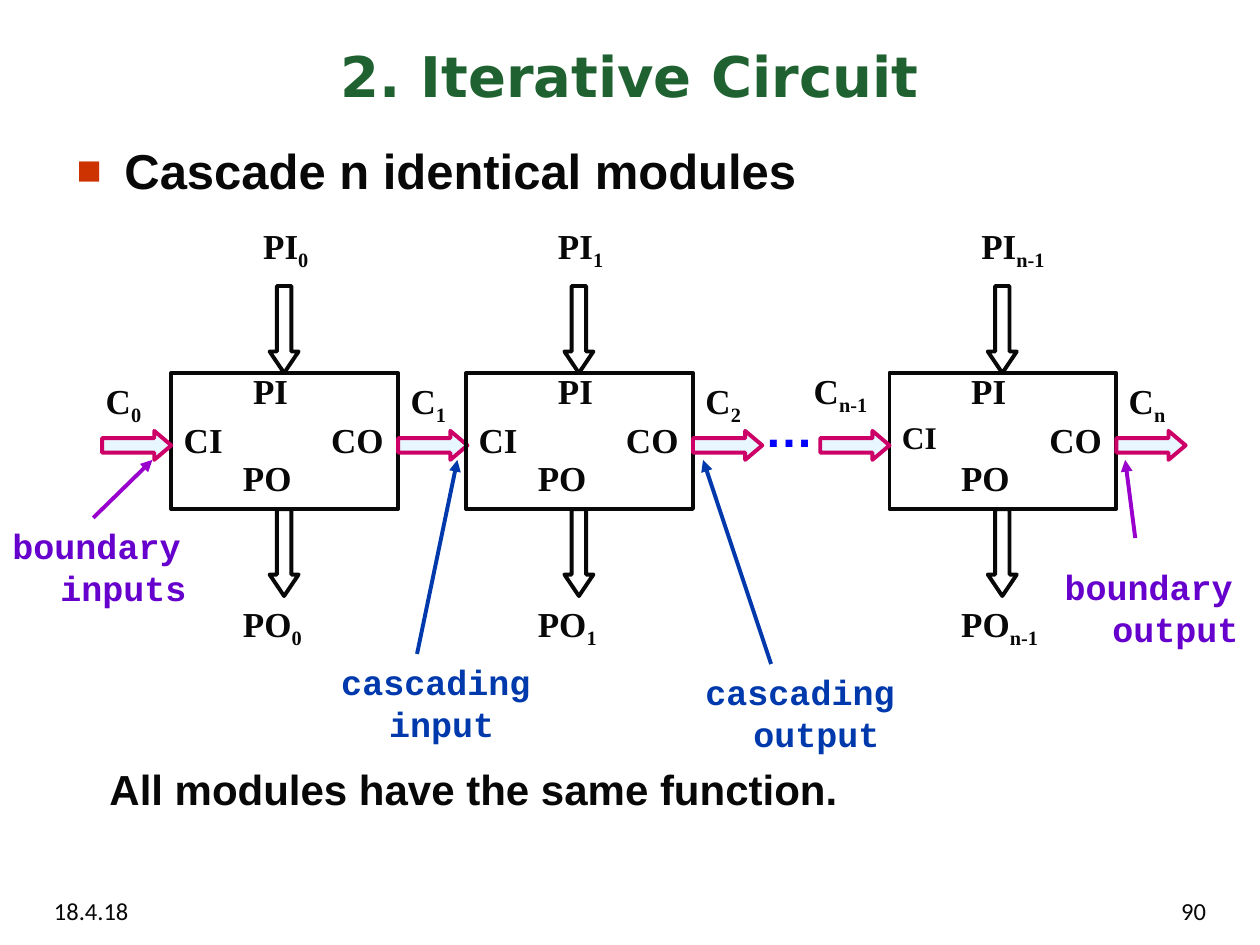
from dataclasses import dataclass

from lxml.etree import SubElement
from pptx import Presentation
from pptx.dml.color import RGBColor
from pptx.enum.shapes import MSO_CONNECTOR as Link, MSO_SHAPE as Kind
from pptx.enum.text import MSO_ANCHOR as Anchor, PP_ALIGN as Align
from pptx.oxml.ns import qn
from pptx.util import Inches, Pt

INK = RGBColor(0x08, 0x08, 0x08)
GREEN = RGBColor(0x1F, 0x61, 0x30)
PINK = RGBColor(0xCC, 0x00, 0x66)
ICE = RGBColor(0xCC, 0xEC, 0xFF)
BLUE = RGBColor(0x00, 0x39, 0xAC)
BRIGHT = RGBColor(0x00, 0x00, 0xFF)
GRAPE = RGBColor(0x66, 0x00, 0xCC)
VIOLET = RGBColor(0x99, 0x00, 0xCC)
SERIF = "Times New Roman"
HANG = 0.38
STROKE = Pt(2.25)
BOX_TOP, BOX_W, BOX_H = 2.96, 1.8, 1.08
FLOW_W, FLOW_H = 0.55, 0.23


@dataclass
class Style:
    font: str
    size: float
    color: RGBColor = INK
    bold: bool = True
    hang: float = HANG
    align: Align = Align.LEFT


@dataclass
class Module:
    left: float
    index: str
    out: str
    pi_gap: float = 0.55
    ci_size: float = 20


@dataclass
class Note:
    text: str
    left: float
    top: float
    width: float
    start: tuple[float, float]
    end: tuple[float, float]
    color: RGBColor
    line: RGBColor


LABEL = Style(SERIF, 20)
FOOT = Style("Calibri", 14, bold=False, hang=0)

MODULES = [
    Module(1.36, "0", "1"),
    Module(3.7, "1", "2", pi_gap=0.63),
    Module(7.06, "n-1", "n", ci_size=18),
]
NOTES = [
    Note("boundary inputs", 0, 4.11, 1.72, (0.74, 4.11), (1.21, 3.65), GRAPE, VIOLET),
    Note("boundary output", 8.35, 4.44, 1.65, (9.01, 4.27), (8.93, 3.65), GRAPE, VIOLET),
    Note("cascading input", 2.61, 5.19, 1.72, (3.31, 5.19), (3.63, 3.65), BLUE, BLUE),
    Note("cascading output", 5.5, 5.27, 1.72, (6.12, 5.27), (5.58, 3.65), BLUE, BLUE),
]


def add_text(slide, text: str, left: float, top: float, width: float,
             height: float, style: Style, sub: str = "", bullet: bool = False):
    """Add a one-paragraph text box, with an optional subscript."""
    box = slide.shapes.add_textbox(Inches(left), Inches(top), Inches(width), Inches(height))
    frame = box.text_frame
    frame.word_wrap = True
    para = frame.paragraphs[0]
    para.alignment = style.align
    props = para._p.get_or_add_pPr()
    if style.hang:
        props.set("marL", str(Inches(style.hang)))
        props.set("indent", str(-Inches(style.hang)))
    if bullet:
        SubElement(SubElement(props, qn("a:buClr")), qn("a:srgbClr"), val="CC3300")
        SubElement(props, qn("a:buSzPct"), val="85000")
        SubElement(props, qn("a:buFont"), typeface="Arial")
        SubElement(props, qn("a:buChar"), char="■")
    para.font.name = style.font
    para.font.size = Pt(style.size)
    para.font.bold = style.bold
    para.font.color.rgb = style.color
    para.add_run().text = text
    if sub:
        run = para.add_run()
        run.text = sub
        run._r.get_or_add_rPr().set("baseline", "-25000")
    return frame


def add_block(slide, kind: Kind, left: float, top: float, width: float,
              height: float, color: RGBColor = INK):
    """Add an outlined shape without fill."""
    block = slide.shapes.add_shape(
        kind, Inches(left), Inches(top), Inches(width), Inches(height))
    block.shadow.inherit = False
    block.fill.background()
    block.line.color.rgb = color
    block.line.width = STROKE
    return block


def add_drop(slide, left: float, top: float) -> None:
    """Add a black arrow that points down."""
    drop = add_block(slide, Kind.DOWN_ARROW, left, top, 0.23, 0.69)
    drop.adjustments[1] = 0.74


def add_flow(slide, left: float) -> None:
    """Add a pink carry arrow that points right."""
    flow = add_block(slide, Kind.RIGHT_ARROW, left, 3.42, FLOW_W, FLOW_H, PINK)
    flow.adjustments[1] = 0.59
    flow.fill.solid()
    flow.fill.fore_color.rgb = ICE
    tint = flow._element.spPr.find(qn("a:solidFill")).find(qn("a:srgbClr"))
    SubElement(tint, qn("a:alpha"), val="47000")


def add_carry(slide, index: str, left: float, top: float = 2.96) -> None:
    add_text(slide, "C", left, top, 0.78, 0.43, LABEL, index)


def add_module(slide, mod: Module) -> None:
    left, right = mod.left, mod.left + BOX_W
    add_block(slide, Kind.RECTANGLE, left, BOX_TOP, BOX_W, BOX_H)
    for top in (2.27, BOX_TOP + BOX_H):
        add_drop(slide, left + 0.78, top)
    add_flow(slide, right)
    add_carry(slide, mod.out, right)
    add_text(slide, "CI", left, 3.27, 0.62, 0.43, Style(SERIF, mod.ci_size))
    add_text(slide, "CO", left + 1.17, 3.27, 0.7, 0.43, LABEL)
    add_text(slide, "PI", left + mod.pi_gap, 2.88, 0.62, 0.43, LABEL)
    add_text(slide, "PO", left + 0.47, 3.57, 0.7, 0.43, LABEL)
    add_text(slide, "PI", left + 0.63, 1.73, 1.09, 0.43, LABEL, mod.index)
    add_text(slide, "PO", left + 0.47, 4.73, 1.01, 0.44, LABEL, mod.index)


def add_note(slide, note: Note) -> None:
    """Add a caption and the arrow that leads from it."""
    add_text(slide, note.text, note.left, note.top, note.width, 0.77,
             Style("Courier New", 20, note.color))
    ends = [Inches(n) for n in note.start + note.end]
    arrow = slide.shapes.add_connector(Link.STRAIGHT, *ends)
    arrow.line.color.rgb = note.line
    arrow.line.width = STROKE
    SubElement(arrow.line._get_or_add_ln(), qn("a:tailEnd"), type="triangle")
    SubElement(arrow._element.spPr, qn("a:effectLst"))


def main() -> None:
    deck = Presentation()
    deck.slide_width, deck.slide_height = Inches(10), Inches(7.5)
    slide = deck.slides.add_slide(deck.slide_layouts[6])

    title = add_text(slide, "2. Iterative Circuit", 0.33, 0.25, 9.34, 0.7,
                     Style("DejaVu Sans", 32, GREEN, hang=0, align=Align.CENTER))
    title.vertical_anchor = Anchor.MIDDLE
    add_text(slide, "Cascade n identical modules", 0.51, 1.07, 9, 0.76,
             Style("Arial", 28), bullet=True)

    for mod in MODULES:
        add_module(slide, mod)
    for left in (MODULES[0].left - FLOW_W, MODULES[-1].left - FLOW_W):
        add_flow(slide, left)
    add_carry(slide, "0", 0.74)
    add_carry(slide, "n-1", 6.36, 2.88)
    add_text(slide, "…", 5.97, 3.11, 0.7, 0.57, Style("Arial", 28, BRIGHT))

    for note in NOTES:
        add_note(slide, note)

    add_text(slide, "All modules have the same function.", 0.77, 6.01, 6.25, 0.5,
             Style("Arial", 24, hang=0))
    add_text(slide, "18.4.18", 0.33, 7.06, 2.5, 0.29, FOOT)
    add_text(slide, "90", 7.17, 7.06, 2.5, 0.29,
             Style("Calibri", 14, bold=False, hang=0, align=Align.RIGHT))
    deck.save("out.pptx")


if __name__ == "__main__":
    main()
